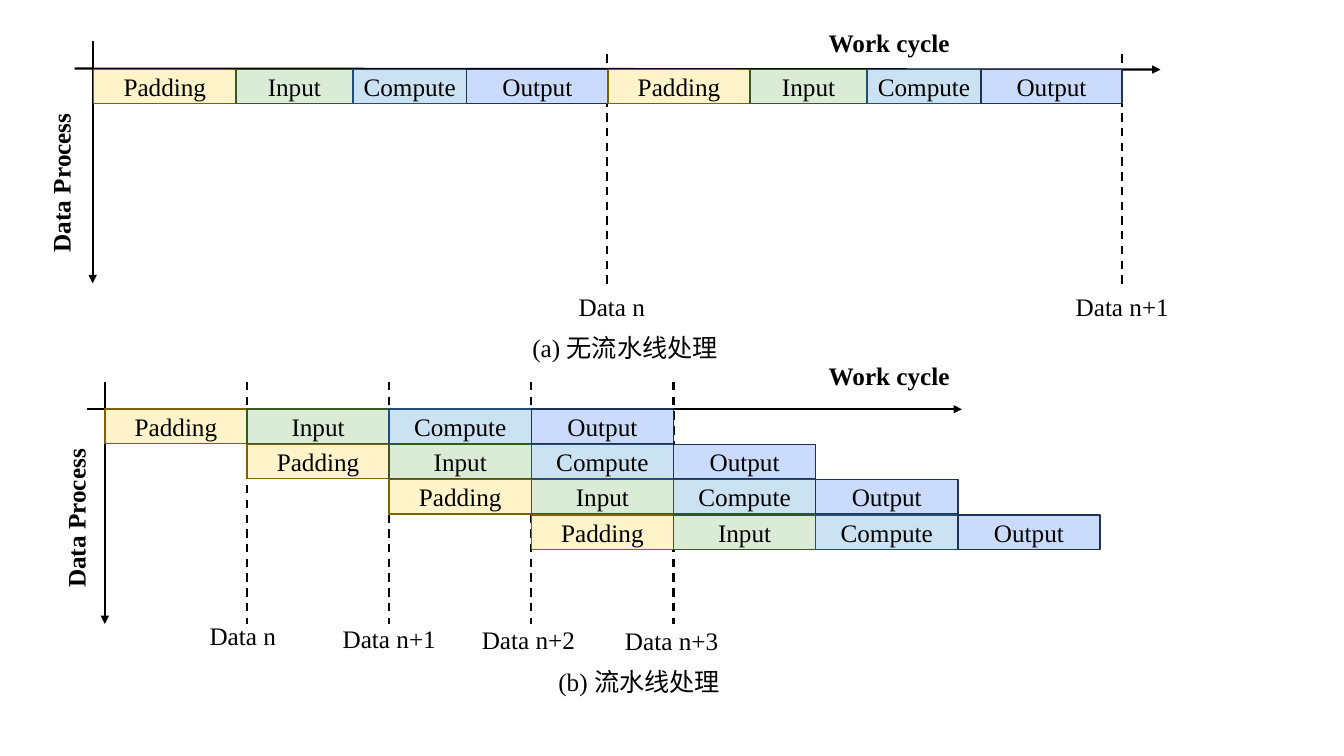
from dataclasses import dataclass
from itertools import accumulate

from lxml.etree import SubElement
from pptx import Presentation
from pptx.dml.color import RGBColor
from pptx.enum.dml import MSO_LINE
from pptx.enum.shapes import MSO_CONNECTOR, MSO_SHAPE
from pptx.enum.text import MSO_ANCHOR, MSO_AUTO_SIZE, PP_ALIGN
from pptx.oxml.ns import qn
from pptx.util import Inches, Pt


@dataclass(frozen=True)
class Theme:
    ink: str = "000000"
    size: float = 18
    rule: float = 1.5
    edge: float = 1
    latin: str = "Times New Roman"
    asian: str = "Noto Sans CJK SC"


THEME = Theme()
STAGES = {
    "Padding": ("FFF4C9", "806000"),
    "Input": ("DBECD6", "385723"),
    "Compute": ("CBE2F2", "1F4E79"),
    "Output": ("CADBFC", "1E3256"),
}
BLOCK = 0.34
STEP = 1.41
ROW = 0.35
SERIAL = (1.41, 1.16, 1.13, 1.4)


def apply(target, **values):
    for name, value in values.items():
        setattr(target, name, value)


def paint(fill, color):
    fill.solid()
    fill.fore_color.rgb = RGBColor.from_string(color)


def write(para, text, face=THEME.latin, bold=False):
    run = para.add_run()
    run.text = text
    apply(run.font, size=Pt(THEME.size), name=face, bold=bold)
    paint(run.font.fill, THEME.ink)


def add_line(slide, start, end, arrow=False):
    points = [Inches(value) for value in (*start, *end)]
    line = slide.shapes.add_connector(MSO_CONNECTOR.STRAIGHT, *points)
    line.line.width = Pt(THEME.rule)
    paint(line.line.fill, THEME.ink)
    if arrow:
        SubElement(line.line._get_or_add_ln(), qn("a:tailEnd"), type="triangle")
    else:
        line.line.dash_style = MSO_LINE.DASH
    SubElement(line.element.spPr, qn("a:effectLst"))


def add_block(slide, stage, left, top, width):
    fill, edge = STAGES[stage]
    box = [Inches(value) for value in (left, top, width, BLOCK)]
    shape = slide.shapes.add_shape(MSO_SHAPE.RECTANGLE, *box)
    shape.shadow.inherit = False
    paint(shape.fill, fill)
    paint(shape.line.fill, edge)
    shape.line.width = Pt(THEME.edge)
    frame = shape.text_frame
    apply(frame, vertical_anchor=MSO_ANCHOR.MIDDLE, word_wrap=True,
          margin_left=0, margin_right=0)
    para = frame.paragraphs[0]
    para.alignment = PP_ALIGN.CENTER
    write(para, stage)


def add_label(slide, text, left, top, width, height=0.4, bold=False):
    box = [Inches(value) for value in (left, top, width, height)]
    shape = slide.shapes.add_textbox(*box)
    apply(shape.text_frame, word_wrap=True,
          auto_size=MSO_AUTO_SIZE.SHAPE_TO_FIT_TEXT)
    write(shape.text_frame.paragraphs[0], text, bold=bold)
    return shape


def add_axes(slide, across, down, title, side):
    add_line(slide, *across, arrow=True)
    add_line(slide, *down, arrow=True)
    add_label(slide, "Work cycle", *title, 1.52, bold=True)
    label = add_label(slide, "Data Process", *side, 0.5, 1.8, bold=True)
    label.rotation = 180
    label.element.txBody.bodyPr.set("vert", "eaVert")


def add_caption(slide, mark, text, left, top):
    label = add_label(slide, mark, left, top, 2.8)
    para = label.text_frame.paragraphs[0]
    para.alignment = PP_ALIGN.CENTER
    write(para, text, THEME.asian)
    props = list(label.element.iter(qn("a:rPr")))[-1]
    SubElement(props, qn("a:ea"), typeface=THEME.asian)


def add_serial(slide):
    add_axes(slide, ((0.74, 0.68), (11.51, 0.69)),
             ((0.92, 0.41), (0.92, 2.81)), (8.12, 0.22), (0.4, 0.8))
    for left in (6.02, 11.13):
        add_line(slide, (left, 0.54), (left, 2.86))
    add_label(slide, "Data n", 5.64, 2.84, 1.12)
    add_label(slide, "Data n+1", 10.57, 2.84, 1.32)
    widths = SERIAL * 2
    lefts = accumulate(widths, initial=0.93)
    for stage, left, width in zip(list(STAGES) * 2, lefts, widths):
        add_block(slide, stage, left, 0.69, width)
    add_caption(slide, "(a) ", "无流水线处理", 4.8, 3.25)


def add_pipeline(slide):
    left, top = 1.04, 4.06
    add_axes(slide, ((0.86, top), (9.54, top)),
             ((left, 3.79), (left, 6.19)), (8.12, 3.53), (0.55, 4.13))
    for index in range(1, 5):
        place = left + index * STEP
        add_line(slide, (place, 3.79), (place, 6.19))
    labels = (
        ("Data n", 1.98, 6.11, 1.12),
        ("Data n+1", 3.3, 6.13, 1.32),
        ("Data n+2", 4.68, 6.14, 1.32),
        ("Data n+3", 6.1, 6.15, 1.32),
    )
    for label in labels:
        add_label(slide, *label)
    for row in range(4):
        for col, stage in enumerate(STAGES, row):
            add_block(slide, stage, left + col * STEP, top + row * ROW, STEP)
    add_caption(slide, "(b) ", "流水线处理", 4.94, 6.56)


def main():
    deck = Presentation()
    apply(deck, slide_width=Inches(13.33), slide_height=Inches(7.5))
    slide = deck.slides.add_slide(deck.slide_layouts[6])
    add_serial(slide)
    add_pipeline(slide)
    deck.save("out.pptx")


if __name__ == "__main__":
    main()
